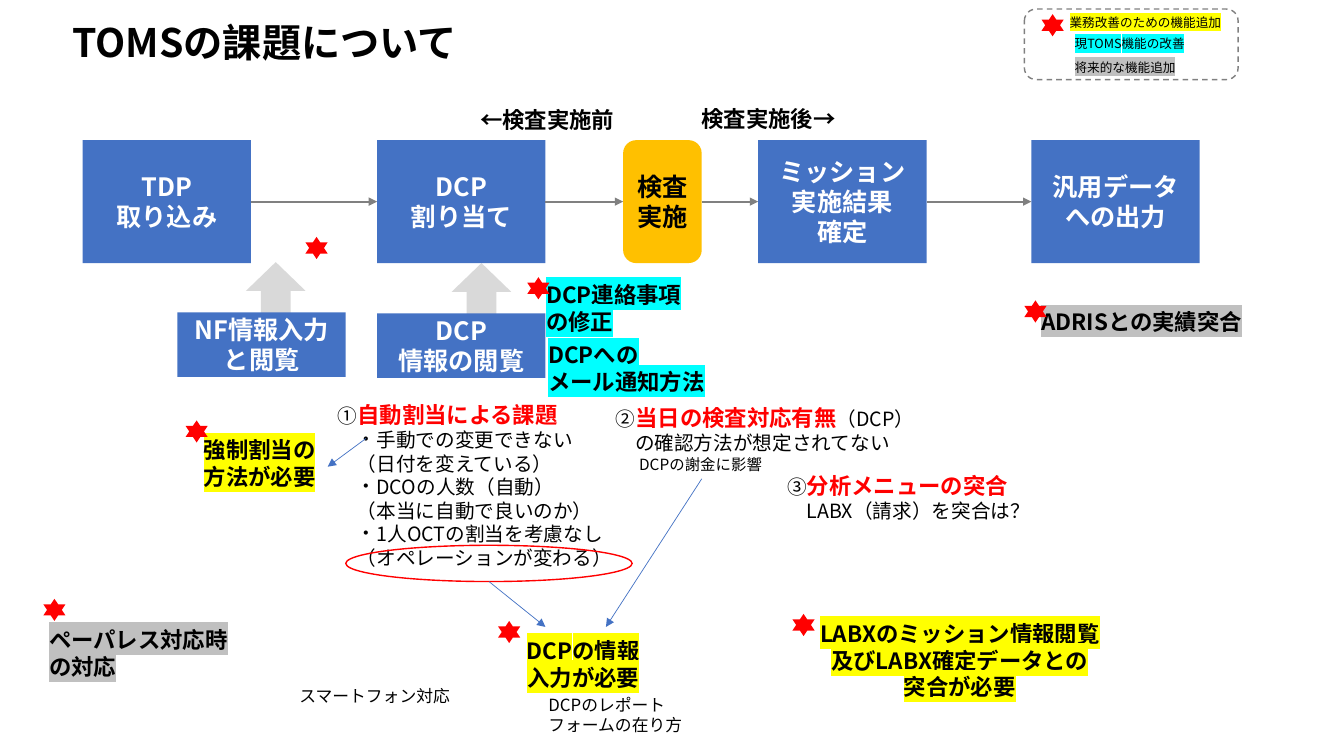
from lxml import etree
from pptx import Presentation
from pptx.dml.color import RGBColor
from pptx.enum.dml import MSO_LINE
from pptx.enum.shapes import MSO_CONNECTOR, MSO_SHAPE
from pptx.enum.text import MSO_ANCHOR, MSO_AUTO_SIZE, PP_ALIGN
from pptx.oxml.ns import qn
from pptx.util import Inches, Pt

RECT, ROUNDED, OVAL = MSO_SHAPE.RECTANGLE, MSO_SHAPE.ROUNDED_RECTANGLE, MSO_SHAPE.OVAL
STAR, BLOCK_ARROW = MSO_SHAPE.STAR_6_POINT, MSO_SHAPE.DOWN_ARROW
LEFT, CENTER, RIGHT = PP_ALIGN.LEFT, PP_ALIGN.CENTER, PP_ALIGN.RIGHT
TOP, MIDDLE = MSO_ANCHOR.TOP, MSO_ANCHOR.MIDDLE
STRAIGHT, DASH = MSO_CONNECTOR.STRAIGHT, MSO_LINE.DASH
GROW = MSO_AUTO_SIZE.SHAPE_TO_FIT_TEXT
RIGHT_SIDE, LEFT_SIDE = 3, 1

COLORS = {
    "black": "000000", "white": "FFFFFF", "red": "FF0000", "blue": "4472C4",
    "amber": "FFC000", "gray": "808080", "pale": "D9D9D9",
    "yellow": "FFFF00", "cyan": "00FFFF", "silver": "C0C0C0",
}


class FlowSlide:
    FONT = "Noto Sans CJK JP"
    INDENT = 0.19

    def __init__(self, slide):
        self.slide = slide

    def color(self, name):
        return RGBColor.from_string(COLORS[name])

    def add_run(self, paragraph, text, size, color="black", bold=False, mark=None):
        run = paragraph.add_run()
        run.text = text
        font = run.font
        font.size, font.bold, font.name = Pt(size), bold, self.FONT
        font.color.rgb = self.color(color)
        props = run._r.get_or_add_rPr()
        if mark:
            highlight = etree.Element(qn("a:highlight"))
            etree.SubElement(highlight, qn("a:srgbClr"), val=COLORS[mark])
            props.find(qn("a:solidFill")).addnext(highlight)
        east_asian = etree.Element(qn("a:ea"), typeface=self.FONT)
        props.find(qn("a:latin")).addnext(east_asian)

    def fill_text(self, shape, lines, align=LEFT, anchor=TOP):
        """Each line is (indent level, bulleted, runs)."""
        frame = shape.text_frame
        frame.word_wrap, frame.vertical_anchor = True, anchor
        for i, (level, bulleted, runs) in enumerate(lines):
            paragraph = frame.add_paragraph() if i else frame.paragraphs[0]
            paragraph.alignment = align
            paragraph.space_before = Pt(0)
            props = paragraph._p.get_or_add_pPr()
            hang = self.INDENT if bulleted else 0
            props.set("marL", str(Inches(level * self.INDENT + hang)))
            props.set("indent", str(Inches(-hang)))
            if bulleted:
                etree.SubElement(props, qn("a:buChar"), char="・")
            else:
                etree.SubElement(props, qn("a:buNone"))
            for run in runs:
                self.add_run(paragraph, *run)

    def plain(self, lines, *style):
        return [(0, False, [(line, *style)]) for line in lines]

    def placeholder(self, holder, at, lines):
        holder.left, holder.top, holder.width, holder.height = map(Inches, at)
        self.fill_text(holder, lines)
        holder.text_frame.auto_size = GROW

    def text(self, at, lines, align=LEFT):
        box = self.slide.shapes.add_textbox(*map(Inches, at))
        self.fill_text(box, lines, align)
        box.text_frame.auto_size = GROW

    def shape(self, kind, at, fill=None, line=None, dash=None):
        shape = self.slide.shapes.add_shape(kind, *map(Inches, at))
        shape.shadow.inherit = False
        if fill:
            shape.fill.solid()
            shape.fill.fore_color.rgb = self.color(fill)
        else:
            shape.fill.background()
        if line:
            shape.line.color.rgb = self.color(line)
            shape.line.width = Pt(1)
            shape.line.dash_style = dash
        else:
            shape.line.fill.background()
        return shape

    def step(self, at, lines, kind=RECT, fill="blue", color="white"):
        box = self.shape(kind, at, fill)
        self.fill_text(box, self.plain(lines, 18, color, True), CENTER, MIDDLE)
        return box

    def arrow(self, start, end, color, width):
        arrow = self.slide.shapes.add_connector(STRAIGHT, *map(Inches, start + end))
        arrow.line.color.rgb = self.color(color)
        arrow.line.width = Pt(width)
        etree.SubElement(arrow.line._get_or_add_ln(), qn("a:tailEnd"), type="triangle")
        etree.SubElement(arrow._element.spPr, qn("a:effectLst"))
        return arrow

    def link(self, source, target):
        arrow = self.arrow((0, 0), (1, 1), "gray", 1.5)
        arrow.begin_connect(source, RIGHT_SIDE)
        arrow.end_connect(target, LEFT_SIDE)


def main():
    prs = Presentation()
    prs.slide_width, prs.slide_height = Inches(13.33), Inches(7.5)
    page = FlowSlide(prs.slides.add_slide(prs.slide_layouts[1]))
    title, auto_assign = page.slide.placeholders

    # Title
    page.placeholder(title, (0.62, 0.13, 4.61, 0.57),
                     page.plain(["TOMSの課題について"], 28, "black", True))

    # Issue 1: list of automatic assignment problems
    page.placeholder(auto_assign, (3.25, 3.93, 3.02, 1.78), [
        (0, False, [("①", 14), ("自動割当による課題", 16, "red", True)]),
        (1, True, [("手動での変更できない", 14)]),
        (1, False, [("（日付を変えている）", 14)]),
        (1, True, [("DCOの人数（自動）", 14)]),
        (1, False, [("（本当に自動で良いのか）", 14)]),
        (1, True, [("1人OCTの割当を考慮なし", 14)]),
        (1, False, [("（オペレーションが変わる）", 14)]),
    ])

    # Block arrows pointing up into the flow
    for left, top in ((2.44, 2.6), (4.48, 2.61)):
        page.shape(BLOCK_ARROW, (left, top, 0.59, 0.57), "pale").rotation = 180

    # Main flow
    step_top, step_width, step_height = 1.39, 1.67, 1.22

    def flow_step(left, lines):
        return page.step((left, step_top, step_width, step_height), lines)

    flow = [
        flow_step(0.82, ["TDP", "取り込み"]),
        flow_step(3.74, ["DCP", "割り当て"]),
        page.step((6.18, step_top, 0.78, step_height), ["検査実施"],
                  ROUNDED, "amber", "black"),
        flow_step(7.52, ["ミッション実施結果", "確定"]),
        flow_step(10.23, ["汎用データ", "への出力"]),
    ]
    for source, target in zip(flow, flow[1:]):
        page.link(source, target)
    page.text((4.49, 1, 1.7, 0.37), page.plain(["←検査実施前"], 16, "black", True), RIGHT)
    page.text((6.86, 0.99, 1.7, 0.37), page.plain(["検査実施後→"], 16, "black", True))

    # Inputs below the flow
    page.step((1.76, 3.1, step_width, 0.64), ["NF情報入力", "と閲覧"])
    page.step((3.74, 3.11, step_width, 0.64), ["DCP", "情報の閲覧"])

    # Issues 2 and 3
    page.text((6.01, 3.96, 3.42, 0.61), [
        (0, False, [("②", 14), ("当日の検査対応有無", 16, "red", True), ("（DCP）", 14)]),
        (1, False, [("の確認方法が想定されてない", 14)]),
    ])
    page.text((7.71, 4.63, 3.89, 0.61), [
        (0, False, [("③", 14), ("分析メニューの突合", 16, "red", True)]),
        (1, False, [("LABX（請求）を突合は？", 14)]),
    ])

    # Circled issue and thin arrows to the countermeasures
    page.shape(OVAL, (3.43, 5.41, 2.84, 0.36), line="red")
    for start, end in (((6.96, 4.75), (6.01, 6.22)),
                       ((4.85, 5.77), (5.41, 6.22)),
                       ((3.63, 4.35), (3.25, 4.63))):
        page.arrow(start, end, "blue", 0.5)

    # Highlighted countermeasures
    for at, lines, mark, align in (
        ((4.96, 6.27, 1.65, 0.64), ["DCPの情報", "入力が必要"], "yellow", CENTER),
        ((1.75, 4.28, 1.65, 0.64), ["強制割当の", "方法が必要"], "yellow", CENTER),
        ((7.96, 6.1, 3.12, 0.91),
         ["LABXのミッション情報閲覧及びLABX確定データとの", "突合が必要"], "yellow", CENTER),
        ((5.32, 2.74, 1.91, 0.64), ["DCP連絡事項", "の修正"], "cyan", LEFT),
        ((5.34, 3.34, 1.91, 0.64), ["DCPへの", "メール通知方法"], "cyan", LEFT),
        ((10.23, 3.01, 2.64, 0.37), ["ADRISとの実績突合"], "silver", LEFT),
        ((0.39, 6.16, 2.13, 0.64), ["ペーパレス対応時", "の対応"], "silver", LEFT),
    ):
        page.text(at, page.plain(lines, 16, "black", True, mark), align)

    # Small remarks
    for at, remark, size in (
        ((6.24, 4.47, 1.75, 0.29), "DCPの謝金に影響", 11),
        ((5.34, 6.84, 1.75, 0.5), "DCPのレポートフォームの在り方", 12),
        ((2.87, 6.75, 1.75, 0.3), "スマートフォン対応", 12),
    ):
        page.text(at, page.plain([remark], size))

    # Legend
    page.shape(ROUNDED, (10.16, 0.09, 2.12, 0.7), line="gray", dash=DASH)
    for left, top, width, meaning, mark in (
        (10.51, 0.1, 1.81, "業務改善のための機能追加", "yellow"),
        (10.56, 0.31, 2.12, "現TOMS機能の改善", "cyan"),
        (10.56, 0.54, 2.12, "将来的な機能追加", "silver"),
    ):
        page.text((left, top, width, 0.25), page.plain([meaning], 9, "black", False, mark))

    # Star markers
    for left, top in ((1.84, 4.17), (4.94, 6.16), (7.86, 6.09), (5.23, 2.75),
                      (3.03, 2.35), (10.16, 2.98), (0.43, 5.94), (10.33, 0.14)):
        page.shape(STAR, (left, top, 0.22, 0.22), "red")

    prs.save("out.pptx")


if __name__ == "__main__":
    main()
